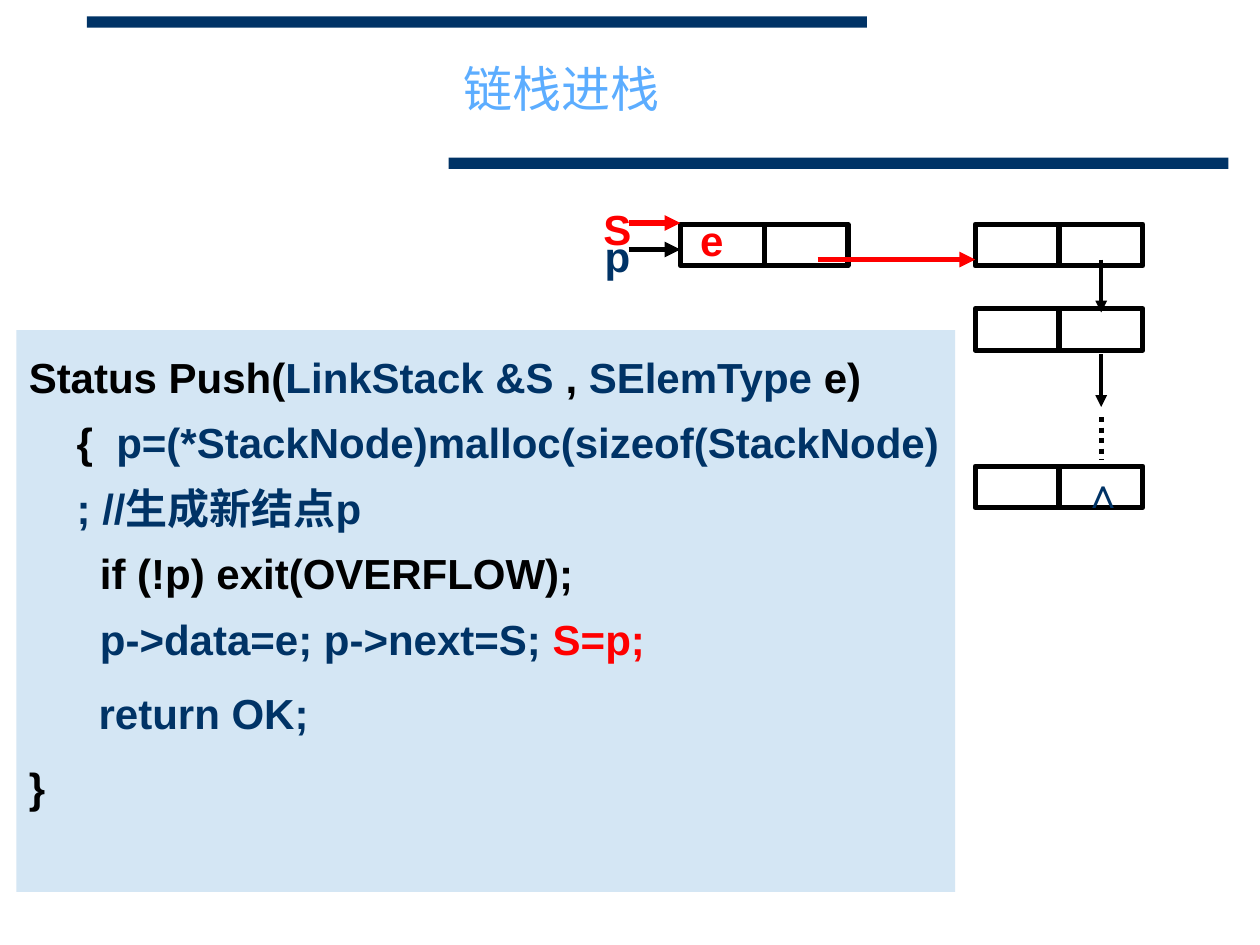
from lxml import etree
from pptx import Presentation
from pptx.dml.color import RGBColor
from pptx.enum.dml import MSO_LINE
from pptx.enum.shapes import MSO_CONNECTOR, MSO_SHAPE
from pptx.enum.text import MSO_ANCHOR, PP_ALIGN
from pptx.oxml.ns import qn
from pptx.util import Inches, Pt

RECTANGLE = MSO_SHAPE.RECTANGLE
STRAIGHT = MSO_CONNECTOR.STRAIGHT
DOTTED = MSO_LINE.ROUND_DOT
LEFT, CENTER = PP_ALIGN.LEFT, PP_ALIGN.CENTER
TOP, MIDDLE = MSO_ANCHOR.TOP, MSO_ANCHOR.MIDDLE

NAVY = RGBColor(0x00, 0x33, 0x66)
SKY = RGBColor(0x5C, 0xAD, 0xFF)
PALE = RGBColor(0xD4, 0xE6, 0xF4)
RED = RGBColor(0xFF, 0x00, 0x00)
BLACK = RGBColor(0x00, 0x00, 0x00)
WHITE = RGBColor(0xFF, 0xFF, 0xFF)
FONT = "Arial"

# Content
TITLE = "链栈进栈"
# Code: paragraphs > lines > (text, colour)
CODE = [
    [
        [("Status Push(", BLACK), ("LinkStack &S ", NAVY), (", ", BLACK),
         ("SElemType", NAVY), (" e)", BLACK)],
        [("{  ", BLACK),
         ("p=(*StackNode)malloc(sizeof(StackNode); //生成新结点p ", NAVY)],
        [("  if (!p) exit(OVERFLOW);", BLACK)],
        [("  p->data=e; p->next=S;", NAVY), (" S=p;", RED)],
    ],
    [[("      return OK;", NAVY)]],
    [[("}", BLACK)]],
]

# Geometry in inches
BARS = [(0.69, 0.13), (3.56, 1.25)]
BAR_SIZE = (6.19, 0.09)
NODE_SIZE = (1.33, 0.33)
NEW_NODE_X, STACK_X, TOP_Y = 5.4, 7.74, 1.78
NODES = [(NEW_NODE_X, TOP_Y), (STACK_X, TOP_Y), (STACK_X, 2.45), (STACK_X, 3.7)]
NEXT_X, NEXT_LENGTH = STACK_X + 1, 0.42
POINTER_X = 4.99
LINK_Y = 2.06
# Start, end, colour, width in points
ARROWS = [
    ((POINTER_X, 1.98), (NEW_NODE_X, 1.98), BLACK, 3),
    ((POINTER_X, 1.77), (NEW_NODE_X, 1.77), RED, 3),
    ((6.49, LINK_Y), (STACK_X, LINK_Y), RED, 3),
    ((NEXT_X, LINK_Y), (NEXT_X, LINK_Y + NEXT_LENGTH), BLACK, 2.25),
    ((NEXT_X, 2.81), (NEXT_X, 2.81 + NEXT_LENGTH), BLACK, 2.25),
]
LABELS = [
    ("p", 4.65, 1.78, NAVY),
    ("∧", 8.49, 3.65, NAVY),
    ("e", 5.4, 1.65, RED),
    ("S", 4.65, 1.57, RED),
]
LABEL_SIZE = 0.5


def add_box(slide, x, y, size, fill, outline=None):
    box = slide.shapes.add_shape(RECTANGLE, *map(Inches, (x, y, *size)))
    box.shadow.inherit = False
    box.fill.solid()
    box.fill.fore_color.rgb = fill
    if outline is None:
        box.line.fill.background()
    else:
        box.line.color.rgb = outline
        box.line.width = Pt(3)
    return box


def add_line(slide, start, end, color=BLACK, width=3, arrow=False):
    line = slide.shapes.add_connector(STRAIGHT, *map(Inches, (*start, *end)))
    line.line.color.rgb = color
    line.line.width = Pt(width)
    if arrow:
        etree.SubElement(line.line._get_or_add_ln(), qn("a:tailEnd"), type="triangle")
    etree.SubElement(line._element.spPr, qn("a:effectLst"))
    return line


def style(paragraph, size, align=LEFT, bold=True, color=None):
    paragraph.alignment = align
    font = paragraph.font
    font.name, font.size, font.bold = FONT, Pt(size), bold
    if color is not None:
        font.color.rgb = color


def add_node(slide, x, y):
    node = add_box(slide, x, y, NODE_SIZE, WHITE, BLACK)
    middle = x + NODE_SIZE[0] / 2
    divider = add_line(slide, (middle, y), (middle, y + NODE_SIZE[1]))
    divider.begin_connect(node, 0)
    divider.end_connect(node, 2)


def add_label(slide, text, x, y, color):
    label = slide.shapes.add_textbox(*map(Inches, (x, y, LABEL_SIZE, LABEL_SIZE)))
    label.text_frame.word_wrap = True
    paragraph = label.text_frame.paragraphs[0]
    paragraph.text = text
    style(paragraph, 24, CENTER, color=color)


def add_code(slide):
    frame = add_box(slide, 0.13, 2.62, (7.45, 4.46), PALE).text_frame
    frame.word_wrap = True
    frame.vertical_anchor = TOP
    for i, lines in enumerate(CODE):
        paragraph = frame.add_paragraph() if i else frame.paragraphs[0]
        properties = paragraph._p.get_or_add_pPr()
        properties.set("marL", str(Inches(0.38)))
        properties.set("indent", str(-Inches(0.38)))
        paragraph.line_spacing = 1.3
        if i:
            paragraph.space_before = Pt(4.8)
        style(paragraph, 24)
        for j, line in enumerate(lines):
            if j:
                paragraph.add_line_break()
            for text, color in line:
                run = paragraph.add_run()
                run.text = text
                run.font.color.rgb = color


def main():
    prs = Presentation()
    prs.slide_width, prs.slide_height = Inches(10), Inches(7.5)
    slide = prs.slides.add_slide(prs.slide_layouts[5])

    # Title between two bars
    for x, y in BARS:
        add_box(slide, x, y, BAR_SIZE, NAVY)
    title = slide.shapes.title
    title.left, title.top, title.width, title.height = map(Inches, (3.58, 0.2, 2.64, 1))
    title.text_frame.text = TITLE
    title.text_frame.vertical_anchor = MIDDLE
    style(title.text_frame.paragraphs[0], 28, bold=False, color=SKY)

    # Linked stack diagram
    for x, y in NODES:
        add_node(slide, x, y)
    for start, end, color, width in ARROWS:
        add_line(slide, start, end, color, width, arrow=True)
    omitted_nodes = add_line(slide, (NEXT_X, 3.31), (NEXT_X, 3.65))
    omitted_nodes.line.dash_style = DOTTED
    for label in LABELS:
        add_label(slide, *label)

    # Push algorithm
    add_code(slide)
    prs.save("out.pptx")


if __name__ == "__main__":
    main()
